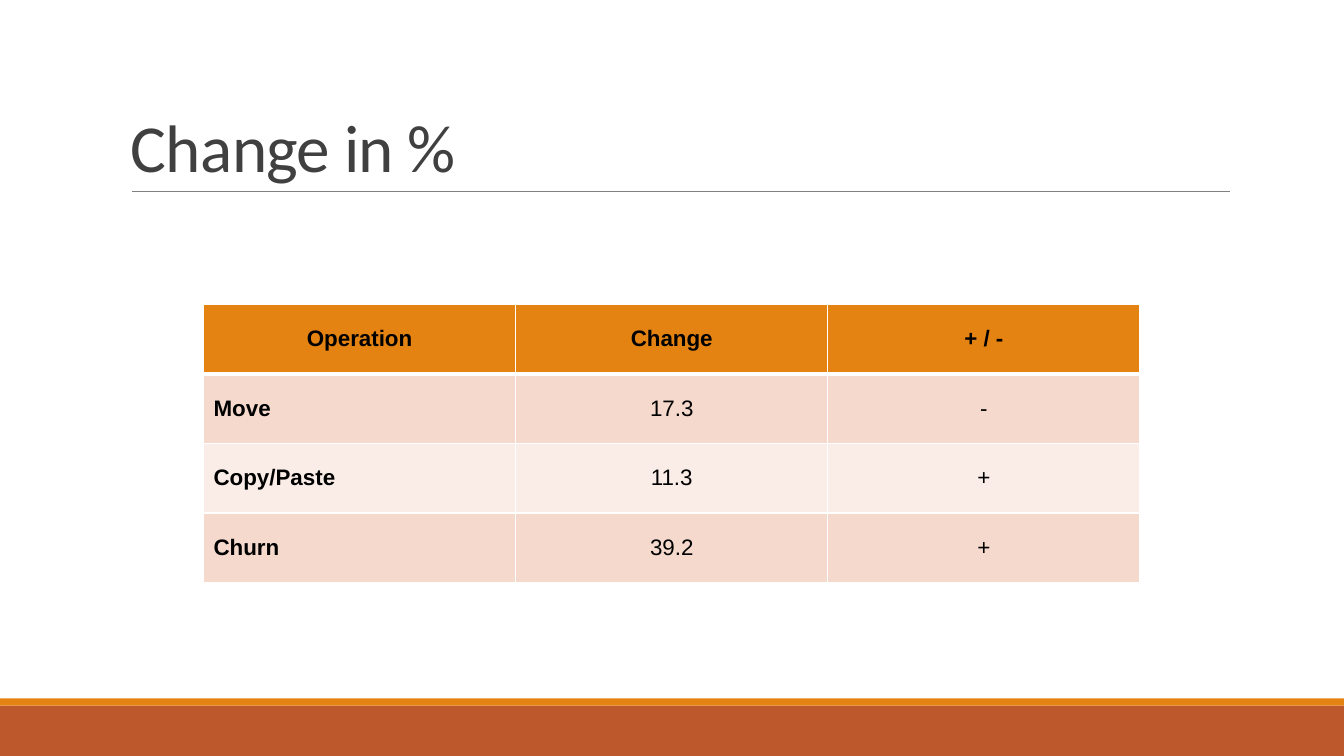
from lxml.etree import SubElement
from pptx import Presentation
from pptx.dml.color import RGBColor
from pptx.enum.shapes import MSO_CONNECTOR as CONN, MSO_SHAPE as SHAPE
from pptx.enum.text import MSO_ANCHOR as ANCHOR, PP_ALIGN as ALIGN
from pptx.oxml import parse_xml
from pptx.oxml.ns import nsdecls, qn
from pptx.util import Cm, Pt

ROWS = [
    ("Operation", "Change", "+ / -"),
    ("Move", "17.3", "-"),
    ("Copy/Paste", "11.3", "+"),
    ("Churn", "39.2", "+"),
]
ORANGE, RUST, WHITE = "E48312", "BD582C", "FFFFFF"
BANDS = ("FAEDE7", "F5D9CC")


def paint(target, color):
    target.solid()
    target.fore_color.rgb = RGBColor.from_string(color)


def add_run(p, text, font, size, color, bold=False):
    r = p.add_run()
    r.text = text
    r.font.name = font
    r.font.size = Pt(size)
    r.font.bold = bold
    paint(r.font.fill, color)
    return r


def add_bar(s, top, height, color):
    sp = s.shapes.add_shape(SHAPE.RECTANGLE, 0, Cm(top), Cm(33.87), Cm(height))
    sp.shadow.inherit = False
    paint(sp.fill, color)
    sp.line.fill.background()


def add_rule(s, left, right, top):
    sp = s.shapes.add_connector(CONN.STRAIGHT, Cm(left), Cm(top), Cm(right), Cm(top))
    paint(sp.line.fill, "808080")
    sp.line.width = Pt(0.5)
    SubElement(sp._element.spPr, qn("a:effectLst"))


def add_title(s, text):
    sp = s.shapes.add_textbox(Cm(3.05), Cm(0.79), Cm(27.94), Cm(4.04))
    tf = sp.text_frame
    tf.word_wrap = True
    tf.vertical_anchor = ANCHOR.BOTTOM
    p = tf.paragraphs[0]
    p.line_spacing = 0.85
    r = add_run(p, text, "Calibri", 48, "404040")
    r.font._element.set("spc", "-50")


def set_borders(cell, widths):
    tcPr = cell._tc.get_or_add_tcPr()
    for i, (side, width) in enumerate(widths.items()):
        tcPr.insert(i, parse_xml(
            f'<a:ln{side} {nsdecls("a")} w="{Pt(width)}"><a:solidFill>'
            f'<a:srgbClr val="{WHITE}"/></a:solidFill></a:ln{side}>'))


def add_change_table(s):
    table = s.shapes.add_table(len(ROWS), len(ROWS[0]), Cm(5.13), Cm(7.67),
                               Cm(23.6), Cm(7.01)).table
    for i, row in enumerate(ROWS):
        for j, text in enumerate(row):
            cell = table.cell(i, j)
            header = i == 0
            paint(cell.fill, ORANGE if header else BANDS[i % 2])
            set_borders(cell, {"L": 1, "R": 1, "T": 3 if i == 1 else 1,
                               "B": 3 if header else 1})
            cell.vertical_anchor = ANCHOR.MIDDLE
            p = cell.text_frame.paragraphs[0]
            p.alignment = ALIGN.CENTER if header or j else ALIGN.LEFT
            add_run(p, text, "Arial", 16, "000000", header or j == 0)


def main():
    prs = Presentation()
    prs.slide_width, prs.slide_height = Cm(33.87), Cm(19.05)
    s = prs.slides.add_slide(prs.slide_layouts[6])
    add_bar(s, 17.78, 1.27, RUST)
    add_bar(s, 17.6, 0.18, ORANGE)
    add_rule(s, 3.33, 31, 4.82)
    add_title(s, "Change in %")
    add_change_table(s)
    prs.save("out.pptx")


if __name__ == "__main__":
    main()
